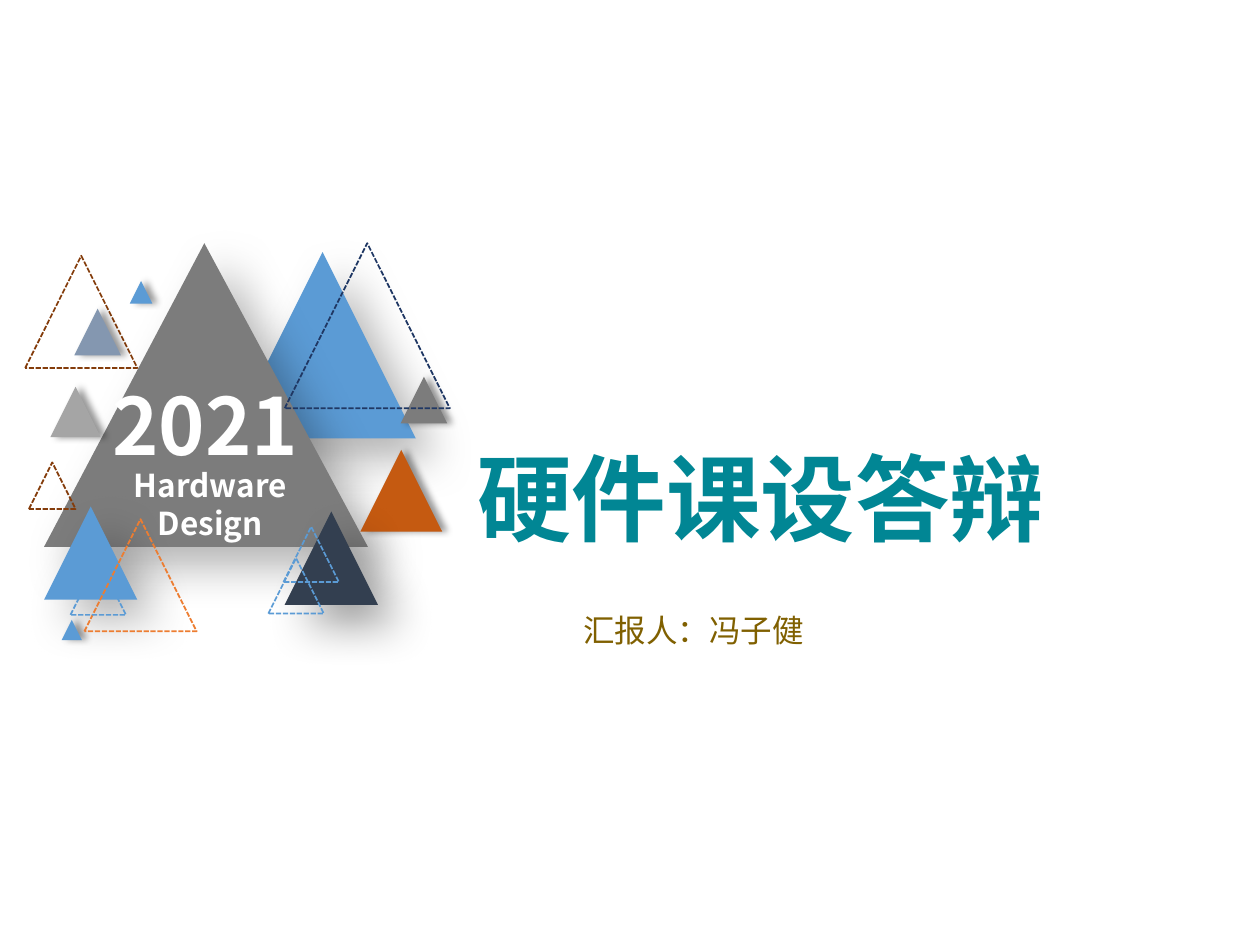
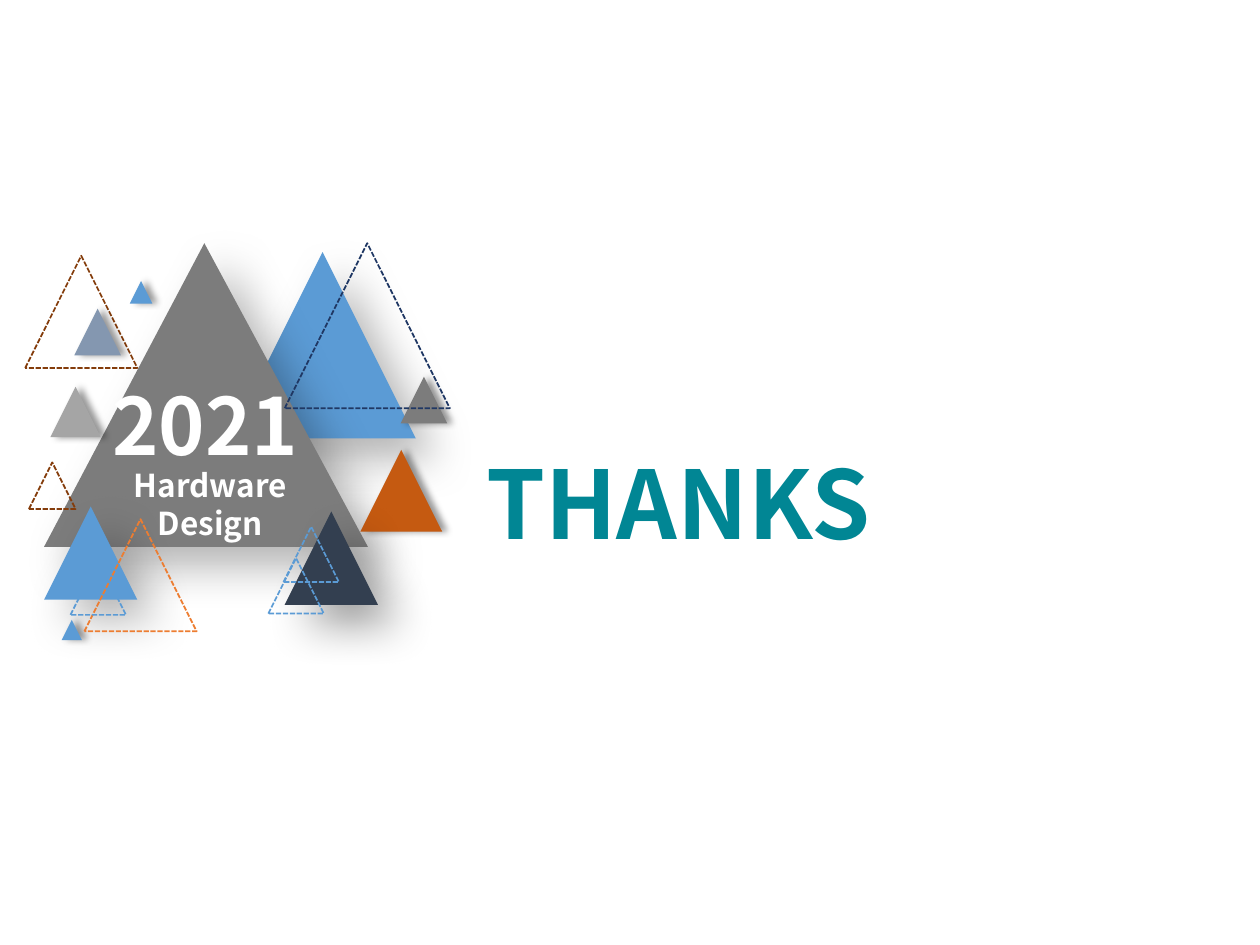
from typing import NamedTuple, Optional

from lxml.etree import SubElement
from pptx import Presentation
from pptx.dml.color import RGBColor
from pptx.enum.dml import MSO_LINE
from pptx.enum.shapes import MSO_SHAPE
from pptx.enum.text import MSO_AUTO_SIZE, PP_ALIGN as Align
from pptx.oxml.ns import qn
from pptx.slide import Slide
from pptx.util import Inches, Pt

FONT = "Noto Sans CJK SC"
WHITE = "FFFFFF"
TEAL = "018694"
OLIVE = "806000"
BLUE = "5B9BD5"
GRAY = "7C7C7C"
SILVER = "A5A5A5"
STEEL = "8497B0"
SLATE = "333F50"
NAVY = "203864"
RUST = "C55A11"
BROWN = "843C0B"
ORANGE = "ED7D31"


class Shadow(NamedTuple):
    opacity: int
    blur: float
    distance: float
    angle: int


SOFT = Shadow(30, 26, 16, 45)
DEEP = Shadow(40, 26, 16, 45)
CRISP = Shadow(40, 4, 3, 0)


class Triangle(NamedTuple):
    """A triangle filled when it casts a shadow, dashed when it does not."""
    left: float
    top: float
    width: float
    color: str
    shadow: Optional[Shadow] = None
    height: Optional[float] = None
    apex: float = 0.5


class Caption(NamedTuple):
    left: float
    top: float
    width: float
    height: float
    lines: tuple[str, ...]
    size: int
    color: str
    bold: bool = True
    align: Align = Align.LEFT
    wrap: bool = True


TRIANGLES = (
    Triangle(1.82, 2, 1.48, BLUE, SOFT),
    Triangle(0.35, 1.93, 2.57, GRAY, SOFT, height=2.41, apex=0.495),
    Triangle(0.35, 4.02, 0.74, BLUE, SOFT),
    Triangle(2.86, 3.57, 0.65, RUST, CRISP),
    Triangle(2.26, 4.06, 0.74, SLATE, DEEP),
    Triangle(3.18, 2.99, 0.37, GRAY, CRISP),
    Triangle(2.26, 1.93, 1.31, NAVY),
    Triangle(2.13, 4.43, 0.44, BLUE),
    Triangle(1.03, 2.23, 0.18, BLUE, CRISP),
    Triangle(0.49, 4.92, 0.16, BLUE, CRISP),
    Triangle(0.23, 3.67, 0.37, BROWN),
    Triangle(0.2, 2.03, 0.89, BROWN),
    Triangle(0.4, 3.07, 0.4, SILVER, CRISP),
    Triangle(0.59, 2.45, 0.37, STEEL, CRISP),
    Triangle(0.67, 4.12, 0.89, ORANGE),
    Triangle(2.25, 4.18, 0.44, BLUE),
    Triangle(0.56, 4.44, 0.44, BLUE),
)
EMBLEM_CAPTIONS = (
    Caption(0.57, 2.94, 2.12, 0.86, ("2021",), 45, WHITE, align=Align.CENTER),
    Caption(0.4, 3.65, 2.54, 0.71, ("Hardware", "Design"), 18, WHITE, align=Align.CENTER),
)
COVER_CAPTIONS = (
    Caption(3.69, 3.44, 6.76, 1.01, ("硬件课设答辩",), 54, TEAL),
    Caption(4.53, 4.8, 1.97, 0.4, ("汇报人：冯子健",), 18, OLIVE, bold=False, wrap=False),
)
CLOSING_CAPTIONS = (
    Caption(3.76, 3.48, 5.07, 1.01, ("THANKS",), 54, TEAL, align=Align.JUSTIFY),
)


def rgb(color: str) -> RGBColor:
    return RGBColor.from_string(color)


def cast_shadow(shape, shadow: Shadow) -> None:
    effects = shape._element.spPr.find(qn("a:effectLst"))
    outer = SubElement(effects, qn("a:outerShdw"), {
        "blurRad": str(Pt(shadow.blur)),
        "dist": str(Pt(shadow.distance)),
        "dir": str(shadow.angle * 60000),
        "algn": "tl",
        "rotWithShape": "0",
    })
    black = SubElement(outer, qn("a:srgbClr"), val="000000")
    SubElement(black, qn("a:alpha"), val=str(shadow.opacity * 1000))


def draw_triangle(slide: Slide, triangle: Triangle) -> None:
    shape = slide.shapes.add_shape(
        MSO_SHAPE.ISOSCELES_TRIANGLE, Inches(triangle.left), Inches(triangle.top),
        Inches(triangle.width), Inches(triangle.height or triangle.width))
    shape.adjustments[0] = triangle.apex
    shape.shadow.inherit = False
    if triangle.shadow:
        shape.fill.solid()
        shape.fill.fore_color.rgb = rgb(triangle.color)
        shape.line.fill.background()
        cast_shadow(shape, triangle.shadow)
    else:
        shape.fill.background()
        shape.line.color.rgb = rgb(triangle.color)
        shape.line.width = Pt(1)
        shape.line.dash_style = MSO_LINE.SQUARE_DOT


def draw_caption(slide: Slide, caption: Caption) -> None:
    box = slide.shapes.add_textbox(
        Inches(caption.left), Inches(caption.top),
        Inches(caption.width), Inches(caption.height))
    frame = box.text_frame
    frame.word_wrap = caption.wrap
    frame.auto_size = MSO_AUTO_SIZE.SHAPE_TO_FIT_TEXT
    for index, line in enumerate(caption.lines):
        paragraph = frame.add_paragraph() if index else frame.paragraphs[0]
        paragraph.alignment = caption.align
        run = paragraph.add_run()
        run.text = line
        run.font.size = Pt(caption.size)
        run.font.bold = caption.bold
        run.font.color.rgb = rgb(caption.color)
        run.font.name = FONT
        SubElement(run.font._element, qn("a:ea"), typeface=FONT)


def main() -> None:
    deck = Presentation()
    deck.slide_width, deck.slide_height = Inches(10), Inches(7.5)
    for captions in (COVER_CAPTIONS, CLOSING_CAPTIONS):
        slide = deck.slides.add_slide(deck.slide_layouts[6])
        for triangle in TRIANGLES:
            draw_triangle(slide, triangle)
        for caption in EMBLEM_CAPTIONS + captions:
            draw_caption(slide, caption)
    deck.save("out.pptx")


if __name__ == "__main__":
    main()
